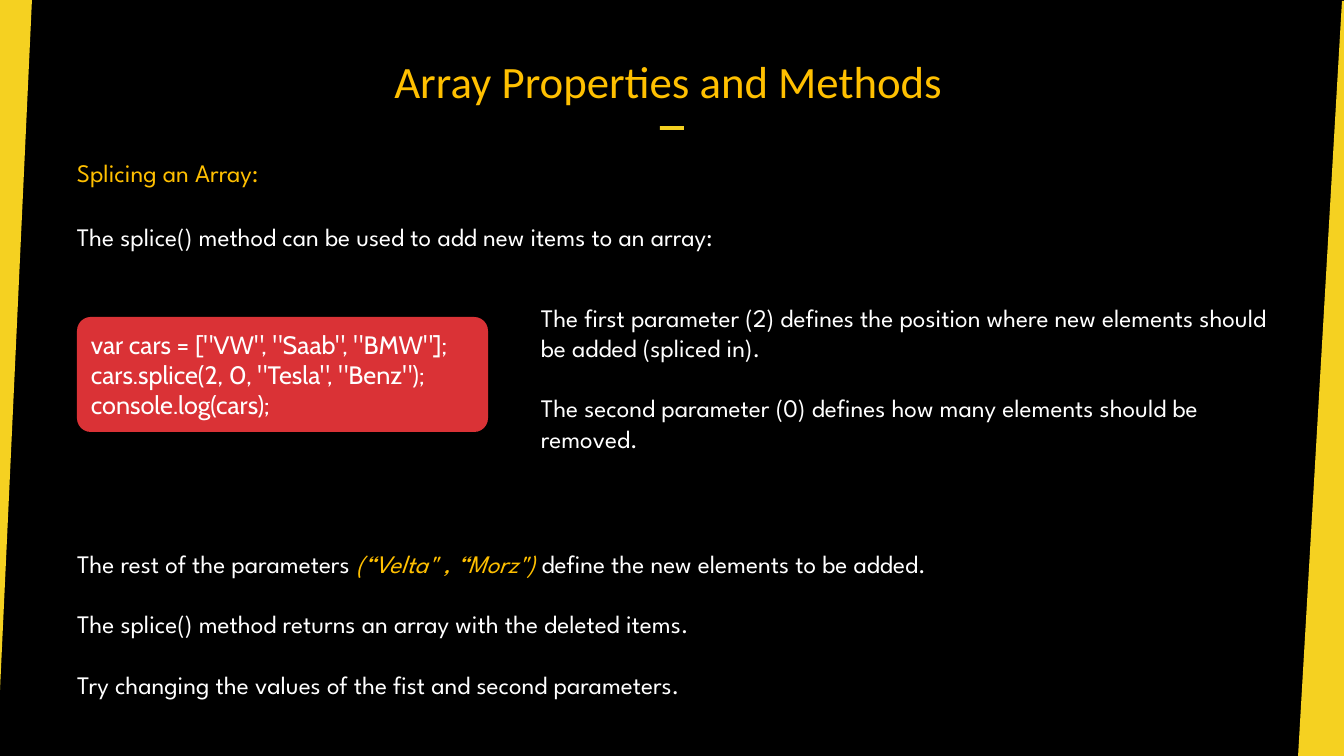
from pptx import Presentation
from pptx import util as u
from pptx.dml.color import RGBColor
from pptx.enum import shapes, text
from pptx.oxml.ns import qn

BLACK = RGBColor(0x00, 0x00, 0x00)
WHITE = RGBColor(0xFF, 0xFF, 0xFF)
GOLD = RGBColor(0xFF, 0xC0, 0x00)
YELLOW = RGBColor(0xF5, 0xD1, 0x21)
RED = RGBColor(0xDA, 0x32, 0x36)

TITLE = "Array Properties and Methods"
HEADING = ["Splicing an Array:"]
INTRO = ["The splice() method can be used to add new items to an array:"]
CODE = [
    'var cars = ["VW", "Saab", "BMW"];',
    'cars.splice(2, 0, "Tesla", "Benz");',
    "console.log(cars);",
]
PARAMETERS = [
    "The first parameter (2) defines the position where new elements should be added (spliced in).",
    "The second parameter (0) defines how many elements should be removed.",
]
EMPHASIS = '(“Velta" , “Morz") '
CLOSING = [
    f"The rest of the parameters {EMPHASIS}define the new elements to be added.",
    "The splice() method returns an array with the deleted items.",
    "Try changing the values of the fist and second parameters.",
]
TEXT_BOXES = [
    (HEADING, GOLD, (67, 152, 422, 40)),
    (INTRO, WHITE, (67, 216, 1238, 40)),
    (PARAMETERS, WHITE, (531, 297, 765, 163)),
]
WEDGES = [
    [(-5, 0), (32, 0), (-3, 756), (-5, 756)],
    [(1342, 1), (1344, 1), (1344, 757), (1298, 757)],
]
PARAGRAPH_GAP = 21.6
SCALE = 914400 / 100.8


def px(n):
    return u.Emu(round(n * SCALE))


def place(sp, box):
    sp.left, sp.top, sp.width, sp.height = map(px, box)


def paint(sp, color):
    sp.shadow.inherit = False
    sp.fill.solid()
    sp.fill.fore_color.rgb = color
    sp.line.fill.background()


def write(sp, lines, font, size, color, gap=0, align=text.PP_ALIGN.LEFT):
    tf = sp.text_frame
    tf.word_wrap = True
    tf.auto_size = text.MSO_AUTO_SIZE.NONE
    for i, line in enumerate(lines):
        p = tf.paragraphs[0] if i == 0 else tf.add_paragraph()
        p.alignment = align
        p.space_before = u.Pt(gap if i else 0)
        before, emphasis, after = line.partition(EMPHASIS)
        for part in filter(None, (before, emphasis, after)):
            r = p.add_run()
            r.text = part
            r.font.name = font
            r.font.size = u.Pt(size)
            r.font.color.rgb = GOLD if part == EMPHASIS else color
            if part == EMPHASIS:
                r.font.italic = True


def main():
    prs = Presentation()
    prs.slide_width, prs.slide_height = px(1344), px(756)
    s = prs.slides.add_slide(prs.slide_layouts[1])
    s.background.fill.solid()
    s.background.fill.fore_color.rgb = BLACK

    for start, *rest in WEDGES:
        builder = s.shapes.build_freeform(*start, scale=SCALE)
        builder.add_line_segments(rest)
        paint(builder.convert_to_shape(), YELLOW)

    dash = s.shapes.add_shape(shapes.MSO_SHAPE.RECTANGLE, *map(px, (660, 126, 24, 4)))
    paint(dash, YELLOW)

    title = s.shapes.title
    place(title, (320, 32, 697, 76))
    write(title, [TITLE], "Calibri", 32, GOLD, align=text.PP_ALIGN.CENTER)
    title.text_frame.vertical_anchor = text.MSO_ANCHOR.BOTTOM
    title.text_frame.margin_top = px(4)
    title.text_frame.margin_bottom = 0

    for lines, color, box in TEXT_BOXES:
        sp = s.shapes.add_textbox(*map(px, box))
        write(sp, lines, "League Spartan", 18, color, PARAGRAPH_GAP)

    code = s.shapes.add_shape(shapes.MSO_SHAPE.ROUNDED_RECTANGLE, *map(px, (77, 317, 411, 115)))
    code.adjustments[0] = 0.12
    paint(code, RED)
    write(code, CODE, "Cabin", 18, WHITE)

    body = s.placeholders[1]
    place(body, (67, 543, 1181, 163))
    write(body, CLOSING, "League Spartan", 18, WHITE, PARAGRAPH_GAP)
    for p in body.text_frame.paragraphs:
        props = p._p.get_or_add_pPr()
        props.set("marL", "0")
        props.set("indent", "0")
        props.append(props.makeelement(qn("a:buNone"), {}))

    prs.save("out.pptx")


if __name__ == "__main__":
    main()
